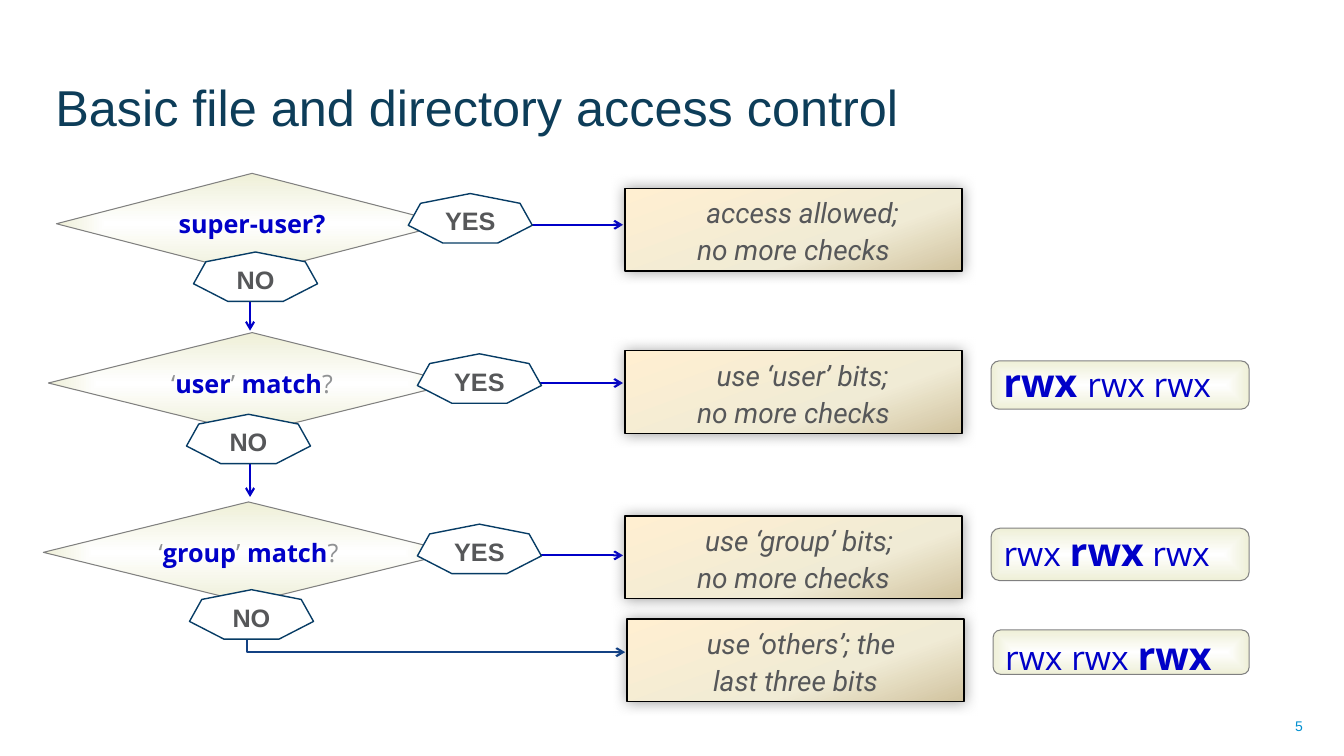
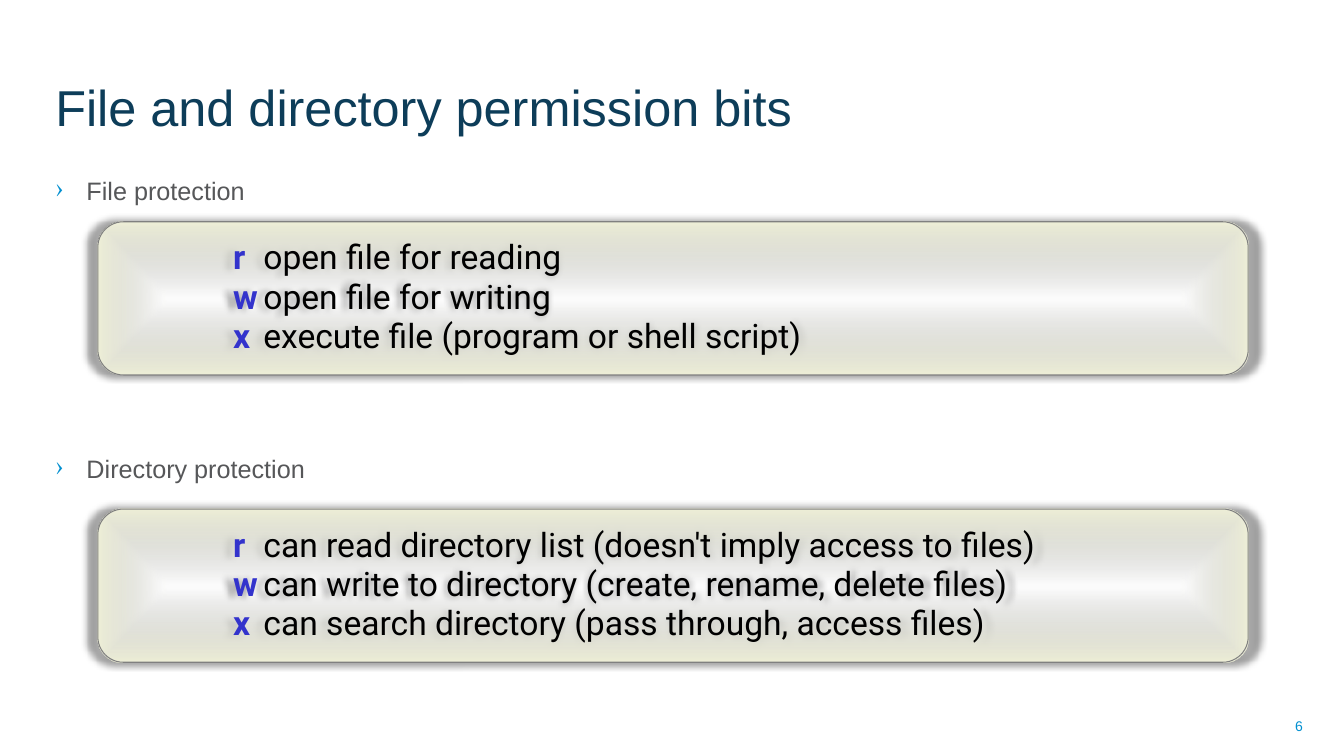
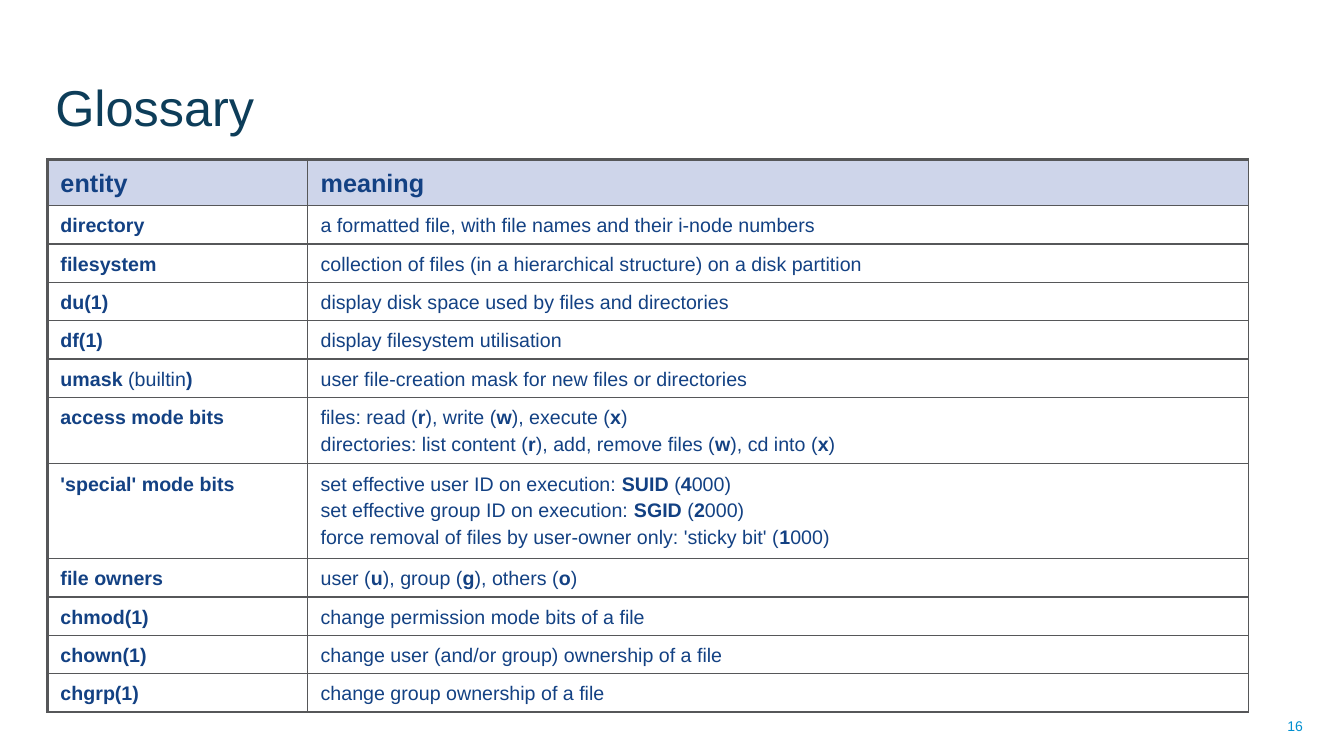
from dataclasses import dataclass, replace
from pptx import Presentation
from pptx.dml.color import RGBColor
from pptx.enum.shapes import MSO_CONNECTOR as Link, MSO_SHAPE as Shape
from pptx.enum.text import MSO_ANCHOR as Anchor, PP_ALIGN as Align
from pptx.oxml import parse_xml
from pptx.oxml.ns import qn
from pptx.util import Inches, Pt

NAMESPACE = 'xmlns:a="http://schemas.openxmlformats.org/drawingml/2006/main"'
NAVY, BLUE, ACCENT, GREY = "0D3D59", "0000C8", "008FD0", "565759"
INK, EDGE, MUTED, HEADER = "134183", "073C65", "909294", "CED5EA"
IVORY = [(0, "FFFFFF", 100), (100, "EEEFD7", 100)]
GLASS = [(0, "FFFFFF", 0), (100, "EEEFD7", 100)]
SAND = [(0, "FFEFD1", 100), (65, "F0EBD5", 100), (100, "D1C39F", 100)]
CENTRE = ('<a:path path="shape"><a:fillToRect l="50000" t="50000" '
          'r="50000" b="50000"/></a:path>')
SLANT = '<a:lin ang="4200000" scaled="0"/>'


@dataclass(frozen=True)
class Look:
    """Type and paragraph settings; bold_* apply to *starred* spans."""
    size: float
    colour: str
    font: str = "Arial"
    bold: bool = False
    italic: bool = False
    bold_size: float = 0
    bold_colour: str = ""
    align: Align = Align.LEFT
    anchor: Anchor = Anchor.MIDDLE
    insets: tuple = (0.1, 0.05, 0.1, 0.05)
    margin: float = 0
    indent: float = 0
    spacing: float = 1
    before: float = 0
    after: float = 0
    bullet: str = ""


TITLE = Look(36, NAVY, anchor=Anchor.BOTTOM)
NUMBER = Look(10, ACCENT, align=Align.RIGHT)
BODY = Look(18, GREY, anchor=Anchor.TOP, margin=0.31, indent=-0.31,
            before=10, after=10, bullet="\u203a")
OUTCOME = Look(20, GREY, "Roboto", italic=True, align=Align.CENTER,
               anchor=Anchor.TOP, insets=(0.1, 0.04, 0.1, 0.04),
               indent=0.18, spacing=1.1)
QUESTION = Look(18, MUTED, "Open Sans", bold_colour=BLUE,
                align=Align.CENTER, insets=(0, 0, 0, 0))
BITS = Look(24, BLUE, "Open Sans", bold_size=28,
            insets=(0.1, 0.05, 0.1, 0.12))
ANSWER = Look(18, GREY, bold=True, align=Align.CENTER,
              insets=(0.1, 0.1, 0.1, 0.05))
RIGHTS = Look(24, "000000", "Roboto", bold_colour="3333CC",
              margin=1.47, indent=-0.3, spacing=0.9, before=2.2)
CELL = Look(14, INK, anchor=Anchor.TOP, spacing=1.2)
HEAD = replace(CELL, size=18, bold=True)


def rgb(value):
    """Turn a hex string into a colour."""
    return RGBColor.from_string(value)


def xml(markup):
    """Parse one drawing element whose tag ends at the first space or bracket."""
    cut = min(markup.index(mark) for mark in " />" if mark in markup)
    return parse_xml(f"{markup[:cut]} {NAMESPACE}{markup[cut:]}")


def colour_xml(value, alpha=100):
    """Give the markup of a colour with its opacity in percent."""
    return (f'<a:srgbClr val="{value}"><a:alpha val="{alpha * 1000}"/>'
            '</a:srgbClr>')


def write_paragraph(para, text, look):
    """Fill a paragraph with text; stars switch bold on and off."""
    para.alignment = look.align
    para.line_spacing = look.spacing
    para.space_before, para.space_after = Pt(look.before), Pt(look.after)
    settings = para._p.get_or_add_pPr()
    settings.set("marL", str(Inches(look.margin)))
    settings.set("indent", str(Inches(look.indent)))
    if look.bullet:
        settings.append(xml(f"<a:buClr>{colour_xml(ACCENT)}</a:buClr>"))
        settings.append(xml(f'<a:buChar char="{look.bullet}"/>'))
    font = para.font
    font.name, font.size = look.font, Pt(look.size)
    font.bold, font.italic = look.bold, look.italic
    font.color.rgb = rgb(look.colour)
    for order, part in enumerate(text.split("*")):
        for row, line in enumerate(part.split("\n")):
            if row:
                para.add_line_break()
            if not line:
                continue
            span = para.add_run()
            span.text = line
            if order % 2:
                span.font.bold = True
                if look.bold_size:
                    span.font.size = Pt(look.bold_size)
                if look.bold_colour:
                    span.font.color.rgb = rgb(look.bold_colour)


def write(frame, texts, look):
    """Write one paragraph per text into a text frame."""
    frame.word_wrap = True
    frame.vertical_anchor = look.anchor
    (frame.margin_left, frame.margin_top, frame.margin_right,
     frame.margin_bottom) = map(Inches, look.insets)
    for order, text in enumerate(texts):
        para = frame.add_paragraph() if order else frame.paragraphs[0]
        write_paragraph(para, text, look)


class Deck:
    """Holds the presentation, its shared style and the current slide."""

    def __init__(self):
        """Start a widescreen presentation."""
        self.deck = Presentation()
        self.deck.slide_width = Inches(13.33)
        self.deck.slide_height = Inches(7.5)

    def new_page(self, title, number):
        """Add a slide with its title and page number."""
        self.page = self.deck.slides.add_slide(self.deck.slide_layouts[6])
        self.text((9.91, 7, 3.11, 0.4), [str(number)], NUMBER)
        self.text((0.45, 0.14, 9.98, 1.26), [title], TITLE)

    def text(self, place, texts, look):
        """Add a text box and return it."""
        box = self.page.shapes.add_textbox(*map(Inches, place))
        write(box.text_frame, texts, look)
        return box

    def shape(self, kind, place, texts, look, line, width, stops=(),
              blend=CENTRE, shadow=""):
        """Add a preset shape, white or with gradient stops."""
        box = self.page.shapes.add_shape(kind, *map(Inches, place))
        box.shadow.inherit = False
        box.line.color.rgb, box.line.width = rgb(line), Pt(width)
        properties = box.element.spPr
        if stops:
            marks = "".join(f'<a:gs pos="{at * 1000}">{colour_xml(value, alpha)}'
                            '</a:gs>' for at, value, alpha in stops)
            properties.find(qn("a:prstGeom")).addnext(xml(
                f'<a:gradFill rotWithShape="1"><a:gsLst>{marks}</a:gsLst>'
                f'{blend}</a:gradFill>'))
        else:
            box.fill.solid()
            box.fill.fore_color.rgb = rgb("FFFFFF")
        if shadow:
            properties.find(qn("a:effectLst")).append(xml(shadow))
        write(box.text_frame, texts, look)

    def outcome(self, left, top, text):
        """Add a sand box with the result of a check."""
        self.shape(Shape.RECTANGLE, (left, top, 3.34, 0.82), [text], OUTCOME,
                   "000000", 1, SAND, SLANT,
                   '<a:outerShdw blurRad="127000" dist="0" dir="3660000">'
                   f'{colour_xml("6D6D6D", 65)}</a:outerShdw>')

    def question(self, place, text):
        """Add a decision diamond."""
        self.shape(Shape.FLOWCHART_DECISION, place, [text], QUESTION,
                   "808080", 0.75, IVORY)

    def bits(self, place, text, look=BITS):
        """Add a pill that shows permission bits."""
        self.shape(Shape.FLOWCHART_ALTERNATE_PROCESS, place, [text], look,
                   "808080", 0.75, IVORY)

    def answer(self, left, top, text):
        """Add a heptagon with an answer."""
        self.shape(Shape.HEPTAGON, (left, top, 1.23, 0.49), [text], ANSWER,
                   EDGE, 1)

    def rights(self, top, texts):
        """Add a wide panel that explains r, w and x."""
        self.shape(Shape.FLOWCHART_ALTERNATE_PROCESS, (0.97, top, 11.41, 1.52),
                   texts, RIGHTS, "808080", 0.75, GLASS, CENTRE,
                   '<a:outerShdw blurRad="63500" sx="102000" sy="102000" '
                   f'algn="ctr">{colour_xml("000000", 40)}</a:outerShdw>')

    def arrow(self, start, end, colour=BLUE, bend=None):
        """Add an arrow, bent at a share of its width if bend is given."""
        kind = Link.STRAIGHT if bend is None else Link.ELBOW
        line = self.page.shapes.add_connector(kind, *map(Inches, start + end))
        line.line.color.rgb, line.line.width = rgb(colour), Pt(1.5)
        line.line._get_or_add_ln().append(xml('<a:tailEnd type="arrow"/>'))
        properties = line._element.spPr
        properties.append(xml("<a:effectLst/>"))
        if bend is not None:
            properties.find(qn("a:prstGeom")).get_or_add_avLst().append(xml(
                f'<a:gd name="adj1" fmla="val {round(bend * 100000)}"/>'))

    def table(self, left, top, widths, rows):
        """Add a ruled table whose first row is the header."""
        heights = [0.44] + [0.36 + 0.27 * row[1].count("\n")
                            for row in rows[1:]]
        table = self.page.shapes.add_table(
            len(rows), len(widths), Inches(left), Inches(top),
            Inches(sum(widths)), Inches(sum(heights))).table
        table.horz_banding = False
        for column, width in zip(table.columns, widths):
            column.width = Inches(width)
        for down, row in enumerate(rows):
            table.rows[down].height = Inches(heights[down])
            for across, text in enumerate(row):
                cell = table.cell(down, across)
                bold = across == 0 and "*" not in text
                look = HEAD if down == 0 else replace(CELL, bold=bold)
                write_paragraph(cell.text_frame.paragraphs[0], text, look)
                cell.margin_left = cell.margin_right = Inches(0.13)
                cell.margin_top = cell.margin_bottom = Inches(0.05)
                if down == 0:
                    cell.fill.solid()
                    cell.fill.fore_color.rgb = rgb(HEADER)
                else:
                    cell.fill.background()
                heavy = {"L": across == 0, "R": False, "T": down == 0,
                         "B": down == len(rows) - 1}
                for order, (side, thick) in enumerate(heavy.items()):
                    width = Pt(2.25 if thick else 1)
                    cell._tc.get_or_add_tcPr().insert(order, xml(
                        f'<a:ln{side} w="{width}"><a:solidFill>'
                        f'{colour_xml(GREY)}</a:solidFill></a:ln{side}>'))


def access_page(deck):
    """Build the flow of access checks."""
    deck.new_page("Basic file and directory access control", 5)
    for top, bottom in [(2.02, 3.28), (3.48, 4.93)]:
        deck.arrow((2.48, top), (2.48, bottom))
    for left, level in [(4.39, 2.23), (4.38, 3.8), (5.26, 5.51)]:
        deck.arrow((left, level), (6.18, level))
    for left, top, text in [
            (6.2, 1.87, "access allowed;\nno more checks"),
            (6.2, 3.48, "use ‘user’ bits;\nno more checks"),
            (6.2, 5.12, "use ‘group’ bits; \nno more checks"),
            (6.22, 6.14, "use ‘others’; the \nlast three bits")]:
        deck.outcome(left, top, text)
    deck.bits((9.83, 3.58, 2.56, 0.48), "*rwx *rwx rwx")
    deck.bits((9.83, 5.24, 2.56, 0.52), "rwx *rwx* rwx")
    deck.bits((9.85, 6.25, 2.54, 0.44), "rwx rwx *rwx*",
              replace(BITS, insets=(0.1, 0.05, 0.1, 0)))
    deck.question((0.56, 1.72, 3.88, 1), "*super-user?*")
    deck.question((0.48, 3.3, 4.04, 1), "‘*user*’ *match*?")
    deck.question((0.43, 4.98, 4.07, 1), "‘*group*’ *match*?")
    deck.arrow((2.51, 6.07), (6.2, 6.47), INK, bend=-0.016)
    for left, top in [(4.05, 1.92), (4.14, 3.51), (4.14, 5.2)]:
        deck.answer(left, top, "YES")
    for left, top in [(1.92, 2.5), (1.85, 4.11), (1.88, 5.85)]:
        deck.answer(left, top, "NO")


def permission_page(deck):
    """Build the explanation of the permission bits."""
    deck.new_page("File and directory permission bits", 6)
    body = deck.text((0.45, 1.69, 12.47, 4.97),
                     ["File protection", "Directory protection"], BODY)
    body.text_frame.paragraphs[1].space_before = Pt(167)
    deck.rights(2.2, ["*r*\topen file for reading",
                      "*w*\topen file for writing",
                      "*x*\texecute file (program or shell script)"])
    deck.rights(5.05, [
        "*r*\tcan read directory list (doesn't imply access to files)",
        "*w*\tcan write to directory (create, rename, delete files)",
        "*x*\tcan search directory (pass through, access files)"])


def glossary_page(deck):
    """Build the glossary table."""
    deck.new_page("Glossary", 16)
    deck.table(0.47, 1.58, [2.58, 9.33], [
        ("entity", "meaning"),
        ("directory",
         "a formatted file, with file names and their i-node numbers"),
        ("filesystem", "collection of files (in a hierarchical structure) "
                       "on a disk partition"),
        ("du(1)", "display disk space used by files and directories"),
        ("df(1)", "display filesystem utilisation"),
        ("*umask* (builtin*)*",
         "user file-creation mask for new files or directories"),
        ("access mode bits",
         "files: read (*r*), write (*w*), execute (*x*)\n"
         "directories: list content (*r*), add, remove files (*w*), "
         "cd into (*x*)"),
        ("'special' mode bits",
         "set effective user ID on execution: *SUID* (*4*000)\n"
         "set effective group ID on execution: *SGID* (*2*000)\n"
         "force removal of files by user-owner only: 'sticky bit' (*1*000)"),
        ("file owners", "user (*u*), group (*g*), others (*o*)"),
        ("chmod(1)", "change permission mode bits of a file"),
        ("chown(1)", "change user (and/or group) ownership of a file"),
        ("chgrp(1)", "change group ownership of a file")])


def main():
    """Build and save the presentation."""
    deck = Deck()
    access_page(deck)
    permission_page(deck)
    glossary_page(deck)
    deck.deck.save("out.pptx")


main()
